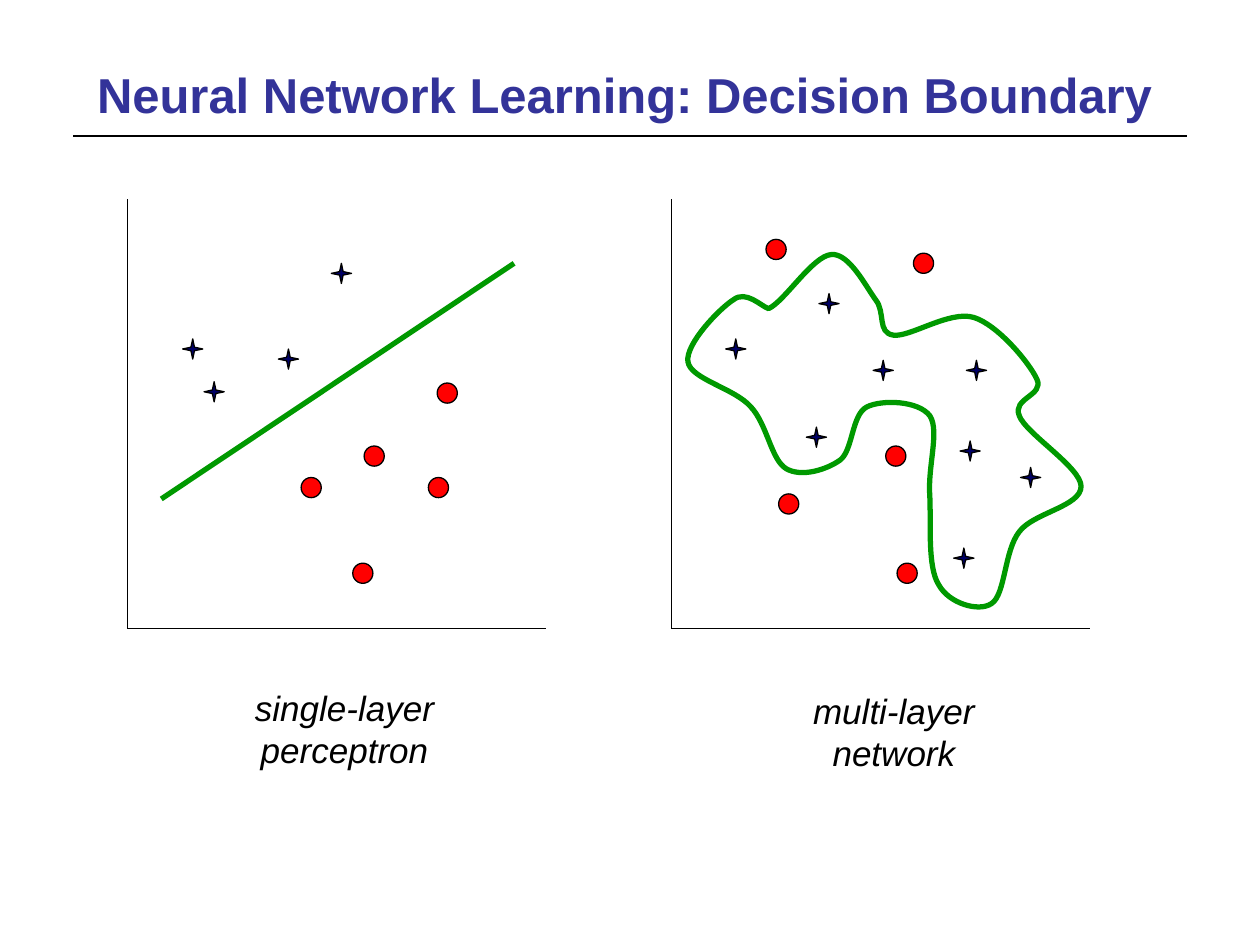
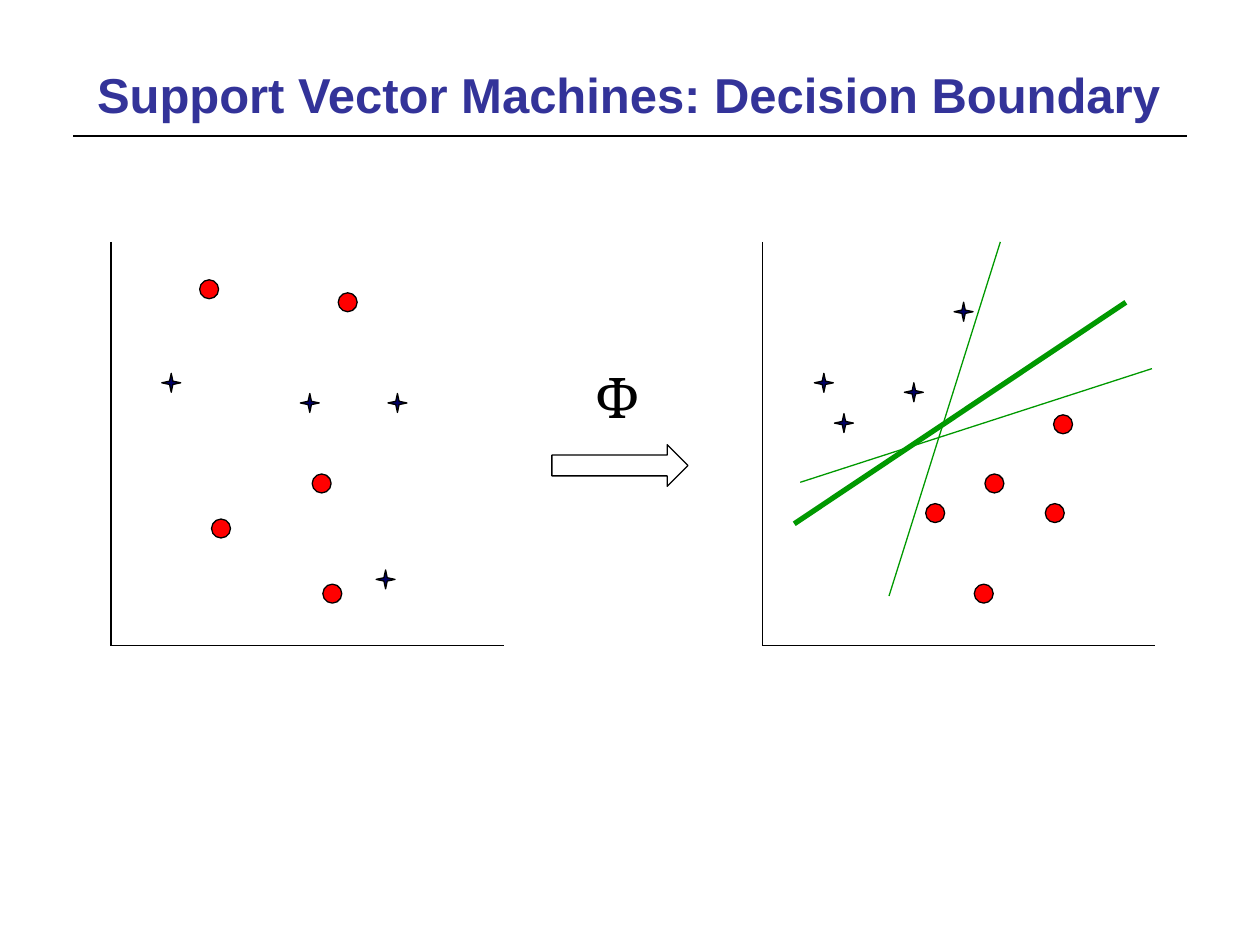
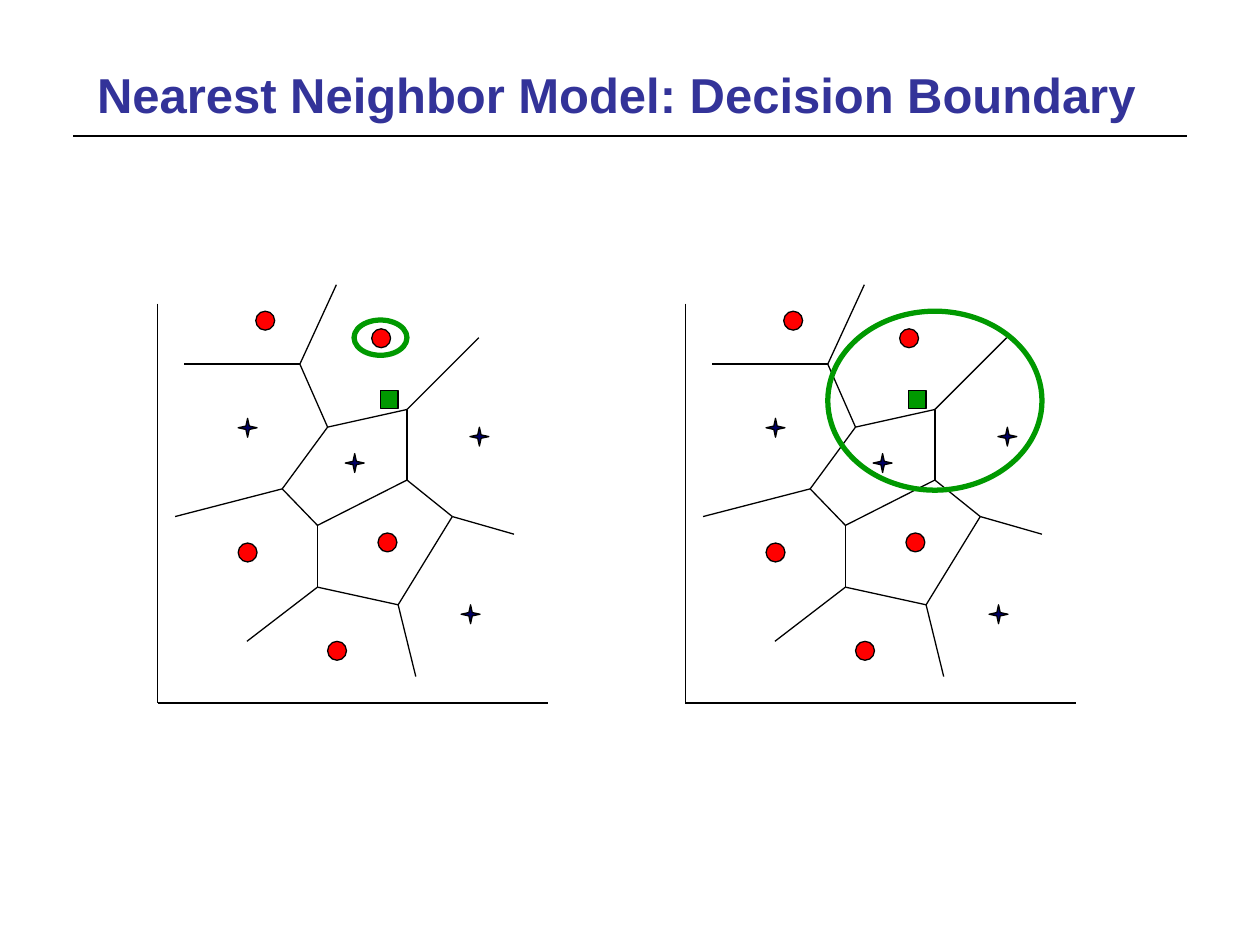
"""Three slides that compare the decision boundaries of learning models."""
import pptx
import pptx.util
import pptx.dml.color
import pptx.enum.shapes
import pptx.enum.text
import pptx.oxml
import pptx.oxml.ns
from pptx.util import Inches

COLORS = {"title": "333399", "ink": "000000", "star": "000066",
          "circle": "FF0000", "boundary": "009900"}
FONT = "Arial"
THIN, THICK = 0.75, 3
SHAPE = pptx.enum.shapes.MSO_SHAPE

TITLES = ["Neural Network Learning: Decision Boundary",
          "Support Vector Machines: Decision Boundary",
          "Nearest Neighbor Model: Decision Boundary"]
CAPTIONS = [("single-layer perceptron", 1.22, 5.4, 3.03),
            ("multi-layer network", 5.83, 5.42, 2.53)]

# All plot data is measured in inches from the top of the vertical axis.
SEPARABLE = {
    "size": (3.32, 3.41), "mark": 0.16,
    "stars": [(1.62, 0.51), (1.2, 1.19), (0.61, 1.45), (0.44, 1.11)],
    "circles": [(1.88, 1.96), (2.39, 2.21), (1.79, 2.89), (2.46, 1.46), (1.38, 2.21)],
}
MIXED = {
    "size": (3.32, 3.41), "mark": 0.16,
    "stars": [(2.34, 1.28), (2.24, 2.77), (1.6, 1.28), (0.43, 1.11),
              (1.17, 0.75), (1.07, 1.81), (2.29, 1.92), (2.77, 2.13)],
    "circles": [(1.7, 1.96), (0.85, 2.34), (1.79, 2.89), (1.92, 0.43), (0.75, 0.32)],
}
INPUT_SPACE = {**MIXED, "stars": MIXED["stars"][:4]}
NEIGHBORS = {
    "size": (3.1, 3.17), "mark": 0.15,
    "stars": [(2.48, 0.98), (2.41, 2.39), (1.49, 1.19), (0.64, 0.91)],
    "circles": [(1.75, 1.82), (0.64, 1.9), (1.35, 2.68), (1.7, 0.2), (0.78, 0.06)],
}

SEPARATOR = ((0.27, 2.38), (3.07, 0.51))
OTHER_SEPARATORS = [((1.07, 2.99), (2.01, 0)), ((0.32, 2.03), (3.29, 1.07))]
SVM_SCALE = 0.94

CURVE_START = (6.1, 2.45)
CURVE = [
    (6.23, 2.39), (6.45, 2.03), (6.6, 2.02), (6.74, 2.01), (6.87, 2.27), (6.95, 2.38),
    (7.03, 2.48), (6.96, 2.64), (7.09, 2.66), (7.22, 2.68), (7.54, 2.46), (7.73, 2.52),
    (7.92, 2.58), (8.17, 2.88), (8.23, 3.01), (8.29, 3.14), (8.03, 3.16), (8.09, 3.3),
    (8.14, 3.44), (8.58, 3.71), (8.58, 3.86), (8.58, 4.02), (8.2, 4.07), (8.09, 4.22),
    (7.97, 4.37), (7.98, 4.72), (7.87, 4.79), (7.77, 4.86), (7.53, 4.79), (7.45, 4.64),
    (7.36, 4.5), (7.39, 4.16), (7.38, 3.94), (7.36, 3.71), (7.46, 3.42), (7.38, 3.3),
    (7.29, 3.18), (7, 3.17), (6.88, 3.23), (6.76, 3.29), (6.77, 3.57), (6.67, 3.65),
    (6.56, 3.73), (6.36, 3.79), (6.24, 3.72), (6.12, 3.65), (6.09, 3.37), (5.96, 3.23),
    (5.83, 3.08), (5.48, 3.01), (5.46, 2.87), (5.44, 2.73), (5.71, 2.45), (5.82, 2.38),
    (5.92, 2.3), (6.04, 2.43), (6.1, 2.45)]

NODES = {"a": (1.13, 0.48), "b": (1.35, 0.98), "c": (1.98, 0.84), "d": (0.99, 1.47),
         "e": (1.27, 1.76), "f": (1.27, 2.25), "g": (1.98, 1.4), "h": (2.34, 1.69),
         "i": (1.91, 2.39)}
EDGES = ["ab", "bc", "bd", "de", "ef", "cg", "eg", "fi", "hi", "gh"]
RAYS = [("a", (0.21, 0.48)), ("a", (1.42, -0.15)), ("d", (0.14, 1.69)),
        ("f", (0.71, 2.68)), ("c", (2.55, 0.27)), ("h", (2.83, 1.83)),
        ("i", (2.05, 2.96))]
QUERY = (1.77, 0.69, 0.14, 0.14)
NEIGHBORHOODS = [(1.25, (1.56, 0.13, 0.42, 0.28)), (5.44, (1.13, 0.06, 1.7, 1.42))]


def rgb(name):
    """Return a named colour."""
    return pptx.dml.color.RGBColor.from_string(COLORS[name])


def set_line(shape, color, width):
    """Colour an outline."""
    shape.line.color.rgb = rgb(color)
    shape.line.width = pptx.util.Pt(width)


def add_line(shapes, start, end, color="ink", width=THIN):
    """Draw a straight line without a shadow."""
    line = shapes.add_connector(pptx.enum.shapes.MSO_CONNECTOR.STRAIGHT,
                                *map(Inches, (*start, *end)))
    set_line(line, color, width)
    line._element.spPr.append(pptx.oxml.parse_xml(
        "<a:effectLst %s/>" % pptx.oxml.ns.nsdecls("a")))


def style_shape(shape, fill, color, width):
    """Give a shape its fill and outline."""
    shape.shadow.inherit = False
    if fill:
        shape.fill.solid()
        shape.fill.fore_color.rgb = rgb(fill)
    else:
        shape.fill.background()
    set_line(shape, color, width)


def add_shape(shapes, kind, box, fill=None, color="ink", width=THIN):
    """Draw a preset shape."""
    style_shape(shapes.add_shape(kind, *map(Inches, box)), fill, color, width)


def add_text(s, text, box, size, font=FONT, italic=False, align=None):
    """Add a one-paragraph text box."""
    tf = s.shapes.add_textbox(*map(Inches, box)).text_frame
    tf.word_wrap = True
    p = tf.paragraphs[0]
    p.text = text
    p.alignment = align
    f = p.runs[0].font
    f.name, f.size, f.italic = font, pptx.util.Pt(size), italic
    f.color.rgb = rgb("ink")
    return tf


class Plot:
    """A group with axes and marked points, placed and scaled on a slide."""

    def __init__(self, s, left, top, data, scale=1):
        self.shapes = s.shapes.add_group_shape().shapes
        self.left, self.top, self.scale = left, top, scale
        width, height = data["size"]
        self.line((0, 0), (0, height))
        self.line((0, height), (width, height))
        mark = data["mark"]
        for kind, key, fill in ((SHAPE.STAR_4_POINT, "stars", "star"),
                                (SHAPE.OVAL, "circles", "circle")):
            for x, y in data[key]:
                self.shape(kind, (x, y, mark, mark), fill)

    def at(self, point):
        """Turn plot coordinates into slide coordinates."""
        return self.left + point[0] * self.scale, self.top + point[1] * self.scale

    def line(self, start, end, color="ink", width=THIN):
        """Draw a line in plot coordinates."""
        add_line(self.shapes, self.at(start), self.at(end), color, width)

    def shape(self, kind, box, fill=None, color="ink", width=THIN):
        """Draw a shape in plot coordinates."""
        size = [v * self.scale for v in box[2:]]
        add_shape(self.shapes, kind, (*self.at(box[:2]), *size), fill, color, width)


def add_curve(shapes):
    """Draw the closed boundary, folding each three points into one Bezier."""
    builder = shapes.build_freeform(*map(Inches, CURVE_START))
    builder.add_line_segments([(Inches(x), Inches(y)) for x, y in CURVE], close=True)
    curve = builder.convert_to_shape()
    style_shape(curve, None, "boundary", THICK)
    segments = list(curve._element.iter(pptx.oxml.ns.qn("a:lnTo")))
    for first, second, third in zip(segments[::3], segments[1::3], segments[2::3]):
        for extra in (second, third):
            first.append(extra[0])
            extra.getparent().remove(extra)
        first.tag = pptx.oxml.ns.qn("a:cubicBezTo")


def new_slide(prs, title):
    """Add a slide with the shared title style and rule."""
    s = prs.slides.add_slide(prs.slide_layouts[5])
    add_line(s.shapes, (0.58, 1.08), (9.42, 1.08), width=1)
    sp = s.shapes.title
    sp.left, sp.top, sp.width, sp.height = map(Inches, (0.67, 0.42, 8.75, 1))
    tf = sp.text_frame
    tf.text = title
    tf.auto_size = pptx.enum.text.MSO_AUTO_SIZE.NONE
    tf.vertical_anchor = pptx.enum.text.MSO_ANCHOR.TOP
    tf.margin_top = Inches(0.09)
    p = tf.paragraphs[0]
    p.alignment = pptx.enum.text.PP_ALIGN.LEFT
    f = p.runs[0].font
    f.name, f.size, f.bold = FONT, pptx.util.Pt(28), True
    f.color.rgb = rgb("title")
    return s


def neural_network(s):
    """Show a linear and a curved boundary."""
    Plot(s, 1.01, 1.58, SEPARABLE).line(*SEPARATOR, "boundary", THICK)
    add_curve(Plot(s, 5.33, 1.58, MIXED).shapes)
    for text, left, top, width in CAPTIONS:
        tf = add_text(s, text, (left, top, width, 0.43), 20, italic=True,
                      align=pptx.enum.text.PP_ALIGN.CENTER)
        tf.margin_left = tf.margin_right = Inches(0.15)


def support_vectors(s):
    """Show the mapping from input space to a separable space."""
    plot = Plot(s, 6.05, 1.92, SEPARABLE, SVM_SCALE)
    plot.line(*SEPARATOR, "boundary", THICK)
    for start, end in OTHER_SEPARATORS:
        plot.line(start, end, "boundary")
    Plot(s, 0.88, 1.92, INPUT_SPACE, SVM_SCALE)
    add_shape(s.shapes, SHAPE.RIGHT_ARROW, (4.38, 3.53, 1.08, 0.33))
    add_text(s, "Ф", (4.63, 2.83, 0.55, 0.63), 32, "Cambria")


def nearest_neighbor(s):
    """Show the same cells with a small and a large neighborhood."""
    for left, neighborhood in NEIGHBORHOODS:
        plot = Plot(s, left, 2.41, NEIGHBORS)
        for start, end in EDGES:
            plot.line(NODES[start], NODES[end])
        for node, end in RAYS:
            plot.line(NODES[node], end)
        plot.shape(SHAPE.RECTANGLE, QUERY, "boundary")
        plot.shape(SHAPE.OVAL, neighborhood, None, "boundary", THICK)


def main():
    """Build and save the deck."""
    prs = pptx.Presentation()
    prs.slide_width, prs.slide_height = Inches(10), Inches(7.5)
    for title, draw in zip(TITLES, (neural_network, support_vectors, nearest_neighbor)):
        draw(new_slide(prs, title))
    prs.save("out.pptx")


if __name__ == "__main__":
    main()
